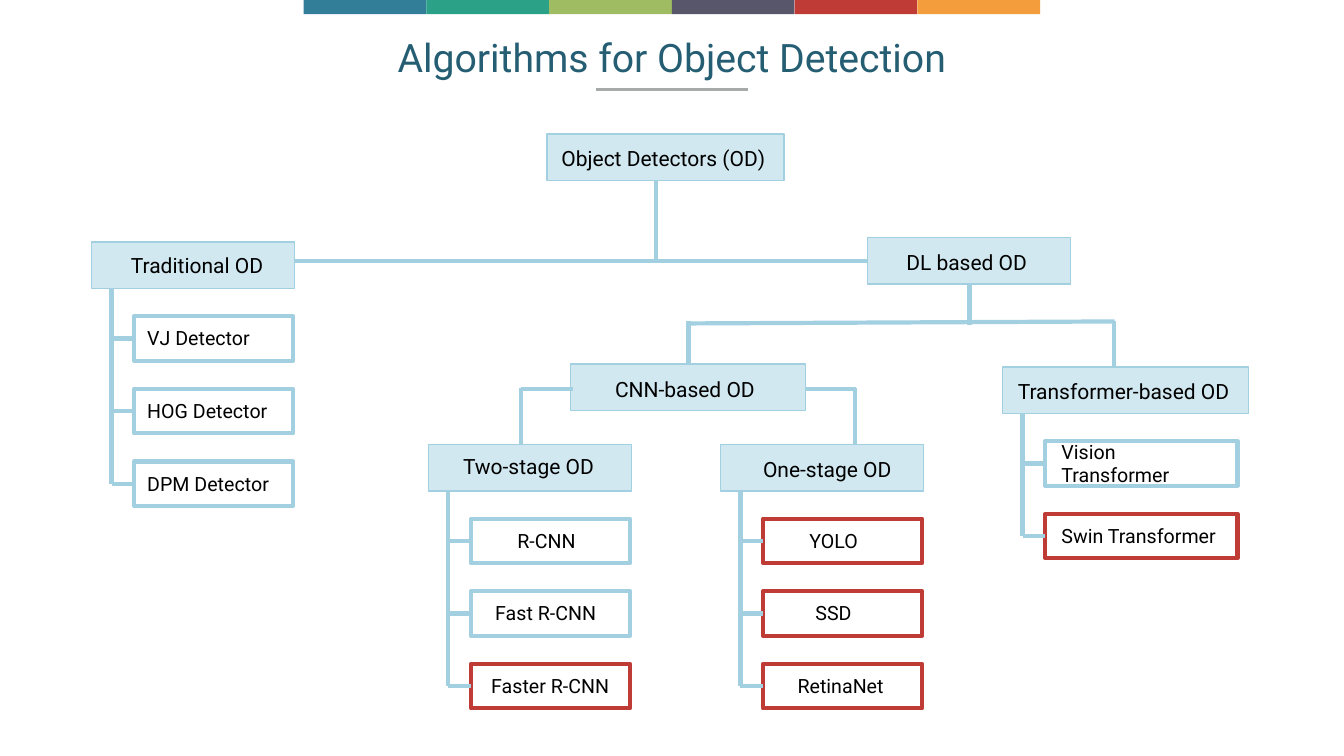
from lxml import etree
from pptx import Presentation
from pptx.dml.color import RGBColor
from pptx.enum.shapes import MSO_CONNECTOR, MSO_SHAPE
from pptx.enum.text import MSO_ANCHOR, PP_ALIGN
from pptx.oxml.ns import qn
from pptx.util import Cm, Pt

RECTANGLE = MSO_SHAPE.RECTANGLE
STRAIGHT = MSO_CONNECTOR.STRAIGHT
MIDDLE = MSO_ANCHOR.MIDDLE
LEFT, CENTER = PP_ALIGN.LEFT, PP_ALIGN.CENTER

SKY, PALE, RED, WHITE = "A2D0E1", "D1E8F0", "BF3B36", "FFFFFF"
STRIP_COLORS = ["327E99", "2BA187", "9FBC62", "58566A", "BF3B36", "F39D3D"]
HEAD_HEIGHT, HEAD_LABEL_HEIGHT = 1.17, 0.79
LEAF_HEIGHT, LEAF_LABEL_HEIGHT = 1.12, 0.74
LEAF_INDENT, LEAF_DROP, LEAF_STEP = 1.07, 1.87, 1.83
SPINE_INDENT = 0.5

# Head: box (left, top, width), text, label (left offset, top offset, width)
# Leaf: text, frame colour, label left offset, label width
ROOT = ((13.79, 3.38, 5.97), "Object Detectors (OD)", (0.28, 0.2, 5.44))
DEEP = ((21.87, 5.99, 5.11), "DL based OD", (0.89, 0.23, 3.35))
CNN = ((14.38, 9.17, 5.92), "CNN-based OD", (1.04, 0.25, 3.86))
FAMILIES = [
    (((2.31, 6.1, 5.11), "Traditional OD", (0.91, 0.18, 3.58)), 4.01, [
        ("VJ Detector", SKY, 0.25, 2.74),
        ("HOG Detector", SKY, 0.25, 3.3),
        ("DPM Detector", SKY, 0.25, 3.28)]),
    (((10.8, 11.2, 5.11), "Two-stage OD", (0.79, 0.15, 3.56)), 4.01, [
        ("R-CNN", SKY, 1.09, 1.75),
        ("Fast R-CNN", SKY, 0.53, 2.84),
        ("Faster R-CNN", RED, 0.43, 3.3)]),
    (((18.16, 11.2, 5.11), "One-stage OD", (0.99, 0.23, 3.58)), 4.01, [
        ("YOLO", RED, 1.09, 1.52),
        ("SSD", RED, 1.24, 1.17),
        ("RetinaNet", RED, 0.79, 2.36)]),
    (((25.27, 9.25, 6.2), "Transformer-based OD", (0.3, 0.2, 5.61)), 4.85, [
        ("Vision Transformer", SKY, 0.33, 4.04),
        ("Swin Transformer", RED, 0.33, 4.04)]),
]
WRAPPED = {"Vision Transformer"}
LINKS = [
    (16.54, 4.57, 16.54, 6.6), (7.42, 6.58, 21.87, 6.58),      # root
    (24.43, 7.16, 24.43, 8.18), (17.35, 8.15, 28.09, 8.1),     # deep learning
    (17.35, 8.1, 17.35, 9.17), (28.07, 8.1, 28.07, 9.25),
    (13.13, 9.78, 13.13, 11.2), (13.13, 9.8, 14.45, 9.8),      # CNN
    (21.54, 9.78, 21.54, 11.2), (20.29, 9.8, 21.56, 9.8),
]


def color(value):
    return RGBColor.from_string(value)


def add_box(page, box, fill, line=None, weight=1):
    shape = page.shapes.add_shape(RECTANGLE, *map(Cm, box))
    shape.shadow.inherit = False
    shape.fill.solid()
    shape.fill.fore_color.rgb = color(fill)
    if line:
        shape.line.color.rgb = color(line)
        shape.line.width = Pt(weight)
    else:
        shape.line.fill.background()
    return shape


def add_link(page, ends, line=SKY, weight=3):
    link = page.shapes.add_connector(STRAIGHT, *map(Cm, ends))
    link.line.color.rgb = color(line)
    link.line.width = Pt(weight)
    etree.SubElement(link._element.spPr, qn("a:effectLst"))


def write(shape, text, size, ink="000000", align=LEFT, margin=0.08, wrap=False):
    frame = shape.text_frame
    layout = {"word_wrap": wrap, "vertical_anchor": MIDDLE}
    layout.update({f"margin_{side}": Cm(margin) for side in ("left", "top", "right", "bottom")})
    for name, value in layout.items():
        setattr(frame, name, value)
    para = frame.paragraphs[0]
    para.alignment = align
    span = para.add_run()
    span.text = text
    for name, value in {"name": "Roboto", "size": Pt(size)}.items():
        setattr(span.font, name, value)
    span.font.color.rgb = color(ink)


def add_header(page, box):
    left, top, width, height = box
    # Colour strip
    tile = width / len(STRIP_COLORS)
    for index, fill in enumerate(STRIP_COLORS):
        add_box(page, (left + index * tile, top, tile, 0.36), fill)
    # Title and rule
    title = page.shapes.add_textbox(Cm(left), Cm(top + 0.86), Cm(width), Cm(1.17))
    write(title, "Algorithms for Object Detection", 28, "255E73", CENTER, 0, True)
    middle = left + width / 2
    add_link(page, (middle - 1.92, top + height, middle + 1.92, top + height), "A6AAA9", 2)


def add_head(page, box, text, label):
    left, top, width = box
    shift, drop, label_width = label
    add_box(page, (left, top, width, HEAD_HEIGHT), PALE, SKY)
    plate = add_box(page, (left + shift, top + drop, label_width, HEAD_LABEL_HEIGHT), PALE, PALE)
    write(plate, text, 15)


def add_family(page, head, leaf_width, leaves):
    add_head(page, *head)
    left, top, _ = head[0]
    spine, leaf_left = left + SPINE_INDENT, left + LEAF_INDENT
    # Spine down to the last leaf
    last = top + LEAF_DROP + (len(leaves) - 1) * LEAF_STEP + LEAF_HEIGHT / 2
    add_link(page, (spine, top + HEAD_HEIGHT, spine, last))
    # Leaves with their branches
    for index, (text, line, shift, label_width) in enumerate(leaves):
        leaf_top = top + LEAF_DROP + index * LEAF_STEP
        branch = leaf_top + LEAF_HEIGHT / 2
        add_box(page, (leaf_left, leaf_top, leaf_width, LEAF_HEIGHT), WHITE, line, 3)
        add_link(page, (spine, branch, leaf_left, branch))
        plate = add_box(page, (leaf_left + shift, leaf_top + 0.18, label_width,
                               LEAF_LABEL_HEIGHT), WHITE, WHITE)
        write(plate, text, 14, wrap=text in WRAPPED)


def main():
    deck = Presentation()
    deck.slide_width, deck.slide_height = Cm(33.87), Cm(19.05)
    page = deck.slides.add_slide(deck.slide_layouts[6])
    add_header(page, (7.65, 0, 18.56, 2.26))
    for head in (ROOT, DEEP, CNN):
        add_head(page, *head)
    for family in FAMILIES:
        add_family(page, *family)
    for ends in LINKS:
        add_link(page, ends)
    deck.save("out.pptx")


if __name__ == "__main__":
    main()
